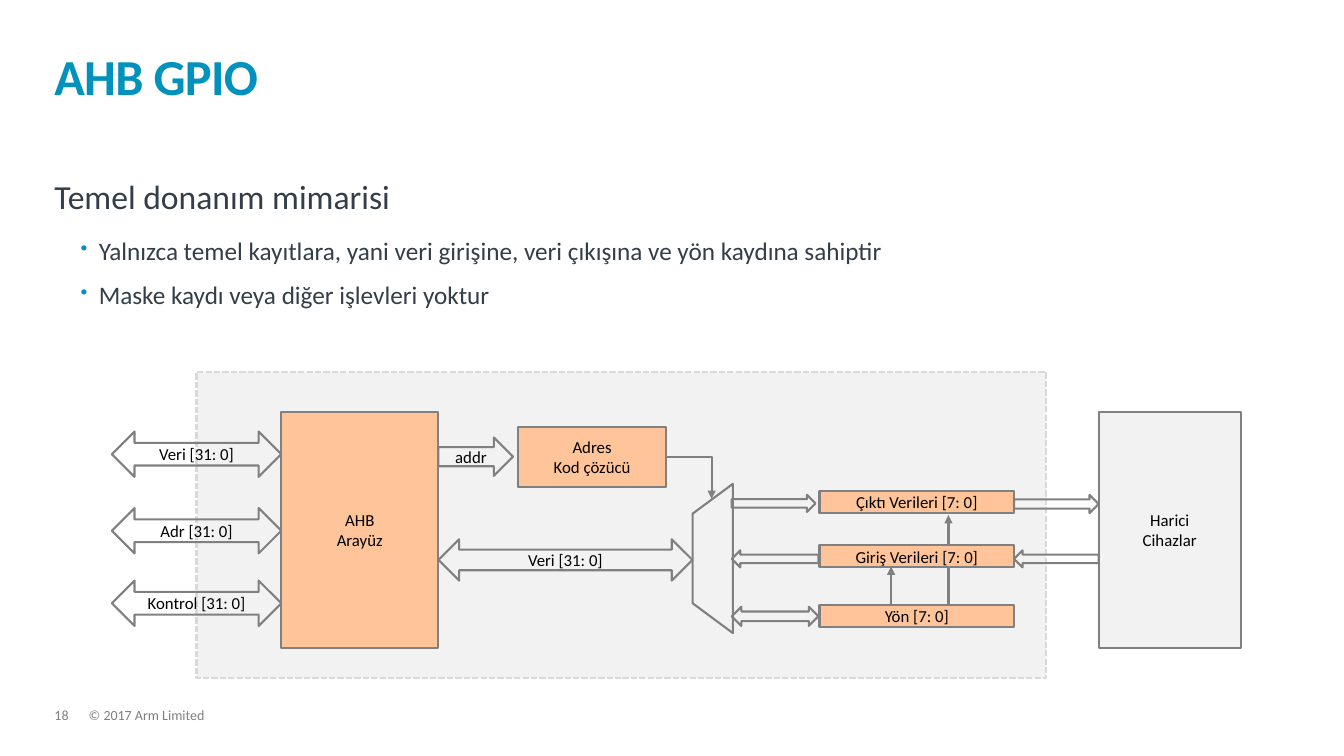
import pptx
import pptx.util
import pptx.dml.color
import pptx.enum.dml
import pptx.enum.shapes
import pptx.enum.text
import pptx.oxml
import pptx.oxml.ns

Pt = pptx.util.Pt
SHAPE = pptx.enum.shapes.MSO_SHAPE
CONNECTOR = pptx.enum.shapes.MSO_CONNECTOR
ALIGN = pptx.enum.text.PP_ALIGN
ANCHOR = pptx.enum.text.MSO_ANCHOR
FONT = "Calibri"
BLUE, SLATE, GREY, BLACK = "0091BD", "333E48", "808080", "000000"
ORANGE, PALE, FOOTER_GREY, FRAME_GREY = "FFC499", "F2F2F2", "7F7F7F", "D9D9D9"

# Content: wording
TITLE = "AHB GPIO"
HEADING = "Temel donanım mimarisi"
BULLETS = [
    "Yalnızca temel kayıtlara, yani veri girişine, veri çıkışına ve yön kaydına sahiptir",
    "Maske kaydı veya diğer işlevleri yoktur",
]
FOOTERS = [("18", 38.9, 24), ("© 2017 Arm Limited", 63.4, 657)]

# Content: diagram, as label, left, top, width, height in points
FRAME = (140.4, 265.7, 607, 218.9)
BLOCKS = [
    ("AHB\nArayüz", 200.9, 294.5, 112.3, 168.5, ORANGE),
    ("Adres\nKod çözücü", 370.1, 305.3, 105.8, 42.5, ORANGE),
    ("Harici\nCihazlar", 784.8, 294.5, 101.5, 168.5, PALE),
]
REGISTERS = [("Çıktı Verileri [7: 0]", 350.6), ("Giriş Verileri [7: 0]", 389.5),
             ("Yön [7: 0]", 432)]
BUSES = [("Veri [31: 0]", 308.2), ("Adr [31: 0]", 362.9), ("Kontrol [31: 0]", 414.7)]
MUX = (455.8, 384.5, 106.6, 28.8)
ARROWS = [  # shape, rotation, label, box
    (SHAPE.RIGHT_ARROW, 0, "addr", (313.2, 312.5, 53.3, 27.4)),
    (SHAPE.LEFT_RIGHT_ARROW, 0, "Veri [31: 0]", (313.2, 385.2, 181.4, 29.5)),
    (SHAPE.LEFT_RIGHT_ARROW, 0, "", (522.7, 433.4, 61.9, 13.7)),
    (SHAPE.RIGHT_ARROW, 0, "", (724.3, 353.5, 60.5, 13)),
    (SHAPE.RIGHT_ARROW, 180, "", (724.3, 393.1, 60.5, 12.2)),
    (SHAPE.RIGHT_ARROW, 0, "", (522.7, 353.5, 59.8, 12.2)),
    (SHAPE.RIGHT_ARROW, 180, "", (522.7, 393.1, 61.9, 12.2)),
]
DIRECTION_LINES = [(677.5, 431.3, 677.5, 367.9), (636.5, 436.3, 636.5, 404.6)]
SELECT_LINE = (475.9, 326.2, 508.3, 356.4)


def rgb(value):
    return pptx.dml.color.RGBColor.from_string(value)


def add_xml(parent, tag, **attributes):
    element = pptx.oxml.parse_xml(f"<a:{tag} {pptx.oxml.ns.nsdecls('a')}/>")
    for key, value in attributes.items():
        element.set(key, value)
    parent.append(element)
    return element


def style_font(font, size, color, bold=False):
    font.name, font.size, font.bold = FONT, Pt(size), bold
    font.color.rgb = rgb(color)


def clear_margins(frame):
    frame.margin_left = frame.margin_right = frame.margin_top = frame.margin_bottom = 0
    frame.word_wrap = True


def add_text(slide, box, lines):
    frame = slide.shapes.add_textbox(*map(Pt, box)).text_frame
    clear_margins(frame)
    frame.text = "\n".join(lines)
    for paragraph in frame.paragraphs:
        paragraph.line_spacing = 0.9
    return frame


def add_part(slide, kind, box, label="", fill=None, line=GREY, rotation=0):
    part = slide.shapes.add_shape(kind, *map(Pt, box))
    part.shadow.inherit = False
    part.rotation = rotation
    if fill:
        part.fill.solid()
        part.fill.fore_color.rgb = rgb(fill)
    else:
        part.fill.background()
    part.line.color.rgb = rgb(line)
    part.line.width = Pt(1.5)
    if label:
        frame = part.text_frame
        frame.text = label
        frame.word_wrap = False
        frame.vertical_anchor = ANCHOR.MIDDLE
        for paragraph in frame.paragraphs:
            paragraph.alignment = ALIGN.CENTER
            style_font(paragraph.runs[0].font, 12, BLACK)
    return part


def add_arrow_line(slide, kind, ends):
    connector = slide.shapes.add_connector(kind, *map(Pt, ends))
    connector.line.color.rgb = rgb(GREY)
    connector.line.width = Pt(1.5)
    properties = connector._element.spPr
    add_xml(properties.find(pptx.oxml.ns.qn("a:ln")), "tailEnd", type="triangle")
    add_xml(properties, "effectLst")
    return properties


def main():
    deck = pptx.Presentation()
    deck.slide_width, deck.slide_height = Pt(960), Pt(540)
    slide = deck.slides.add_slide(deck.slide_layouts[5])

    # Title
    title = slide.shapes.title
    title.left, title.top, title.width, title.height = map(Pt, (38.9, 23, 880.6, 52.6))
    clear_margins(title.text_frame)
    title.text_frame.auto_size = pptx.enum.text.MSO_AUTO_SIZE.NONE
    title.text_frame.vertical_anchor = ANCHOR.BOTTOM
    title.text_frame.text = TITLE
    heading = title.text_frame.paragraphs[0]
    heading.alignment, heading.line_spacing = ALIGN.LEFT, 0.85
    style_font(heading.runs[0].font, 36, BLUE, bold=True)
    heading.runs[0]._r.get_or_add_rPr().set("spc", "-50")

    # Heading and bullets
    body = add_text(slide, (38.9, 128.9, 880.6, 110), [HEADING] + BULLETS)
    lead, *points = body.paragraphs
    lead.space_after = Pt(16)
    style_font(lead.runs[0].font, 24, SLATE)
    for point in points:
        point.space_after = Pt(12)
        properties = point._p.get_or_add_pPr()
        properties.set("marL", str(Pt(31.7)))
        properties.set("indent", str(Pt(-13)))
        add_xml(add_xml(properties, "buClr"), "srgbClr", val=BLUE)
        add_xml(properties, "buSzPct", val="80000")
        add_xml(properties, "buChar", char="•")
        style_font(point.runs[0].font, 18, SLATE)

    # Peripheral frame, with the direction lines behind the registers
    frame = add_part(slide, SHAPE.RECTANGLE, FRAME, fill=PALE, line=FRAME_GREY)
    frame.line.dash_style = pptx.enum.dml.MSO_LINE.SQUARE_DOT
    for ends in DIRECTION_LINES:
        add_arrow_line(slide, CONNECTOR.STRAIGHT, ends)

    # Blocks, registers and multiplexer
    registers = [(label, 585.4, top, 139, 15.8, ORANGE) for label, top in REGISTERS]
    for label, *box, fill in BLOCKS + registers:
        add_part(slide, SHAPE.FLOWCHART_PROCESS, box, label, fill)
    add_part(slide, SHAPE.FLOWCHART_MANUAL_OPERATION, MUX, fill=PALE, rotation=90)

    # Buses and select line
    buses = [(SHAPE.LEFT_RIGHT_ARROW, 0, label, (79.9, top, 121, 32.4))
             for label, top in BUSES]
    for kind, rotation, label, box in buses + ARROWS:
        add_part(slide, kind, box, label, rotation=rotation)
    select = add_arrow_line(slide, CONNECTOR.ELBOW, SELECT_LINE)
    select.find(pptx.oxml.ns.qn("a:prstGeom")).set("prst", "bentConnector2")

    # Footer
    for text, left, width in FOOTERS:
        footer = add_text(slide, (left, 506.2, width, 10.8), [text])
        style_font(footer.paragraphs[0].runs[0].font, 10, FOOTER_GREY)

    deck.save("out.pptx")


if __name__ == "__main__":
    main()
